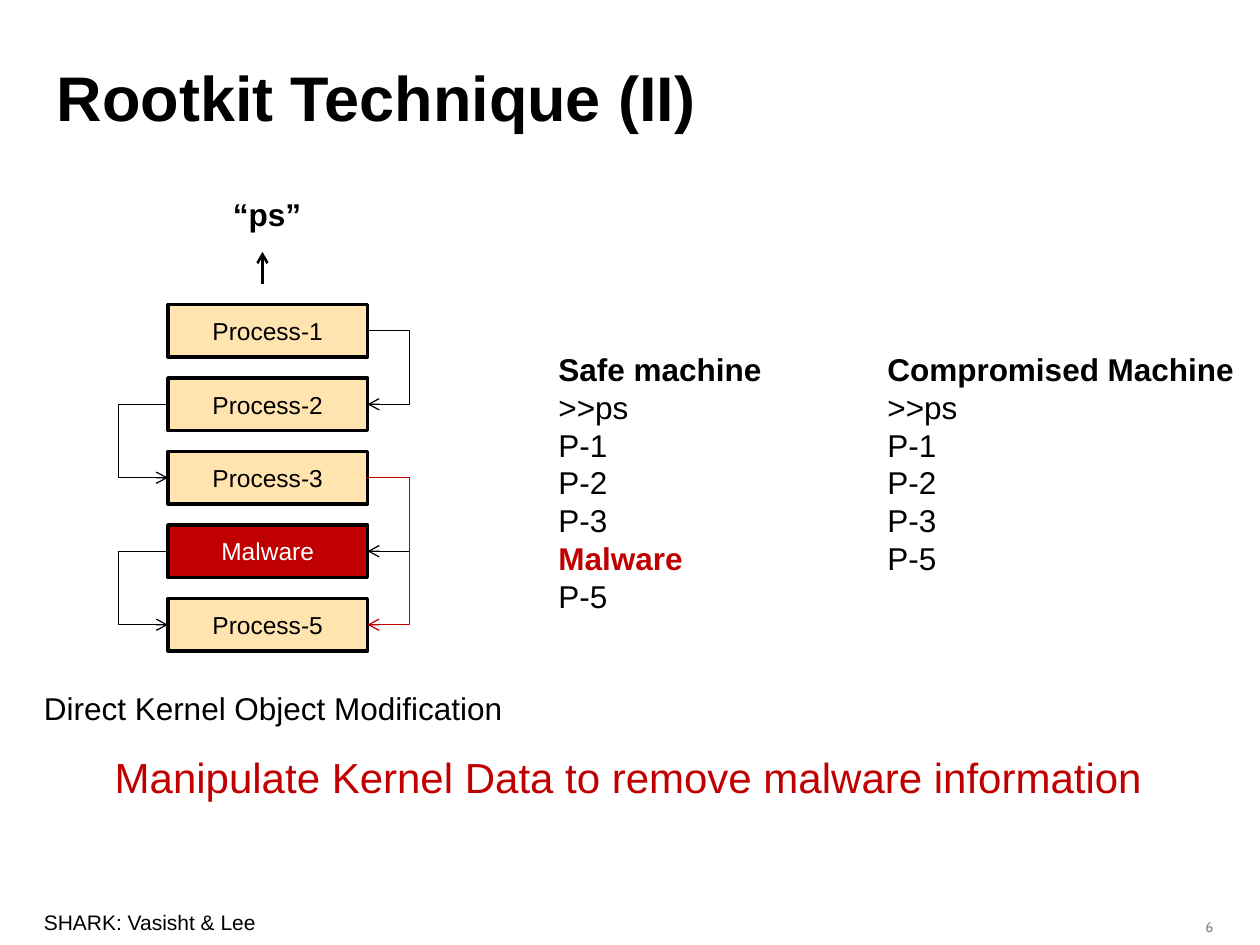
from lxml.etree import SubElement
from pptx import Presentation
from pptx.dml.color import RGBColor
from pptx.enum.shapes import MSO_CONNECTOR as CONNECTOR, MSO_SHAPE as SHAPE
from pptx.enum.text import MSO_ANCHOR as ANCHOR, PP_ALIGN as ALIGN
from pptx.oxml.ns import qn
from pptx.util import Pt

COLORS = {"black": "000000", "white": "FFFFFF", "red": "C00000",
          "sand": "FFE4AF", "gray": "808080"}

# Process stack geometry, in points
BOX_LEFT, BOX_TOP, BOX_WIDTH, BOX_HEIGHT, BOX_PITCH = 96, 174, 114, 30, 42
BOX_RIGHT = BOX_LEFT + BOX_WIDTH
RIGHT_BEND, LEFT_BEND = 234.3, 67.6
SECOND_COLUMN = 188

PROCESSES = ["Process-1", "Process-2", "Process-3", "Malware", "Process-5"]
LISTING = ["Safe machine\tCompromised Machine", ">>ps\t>>ps", "P-1\tP-1",
           "P-2\tP-2", "P-3\tP-3", "Malware", "P-5"]


def rgb(name):
    return RGBColor.from_string(COLORS[name])


def style(run, size, color="black", bold=False, face="Arial"):
    run.font.name = face
    run.font.size = Pt(size)
    run.font.bold = bold
    run.font.color.rgb = rgb(color)


def add_label(slide, text, left, top, width, height, size, color="black",
              bold=False, face="Arial", align=ALIGN.LEFT, wrap=True):
    frame = slide.shapes.add_textbox(
        Pt(left), Pt(top), Pt(width), Pt(height)).text_frame
    frame.word_wrap = wrap
    frame.text = text
    frame.paragraphs[0].alignment = align
    style(frame.paragraphs[0].runs[0], size, color, bold, face)


def add_process(slide, name, row):
    is_malware = name == "Malware"
    process = slide.shapes.add_shape(
        SHAPE.RECTANGLE, Pt(BOX_LEFT), Pt(BOX_TOP + row * BOX_PITCH),
        Pt(BOX_WIDTH), Pt(BOX_HEIGHT))
    process.shadow.inherit = False
    process.fill.solid()
    process.fill.fore_color.rgb = rgb("red" if is_malware else "sand")
    process.line.color.rgb = rgb("black")
    process.line.width = Pt(2)
    frame = process.text_frame
    frame.vertical_anchor = ANCHOR.MIDDLE
    frame.text = name
    frame.paragraphs[0].alignment = ALIGN.CENTER
    style(frame.paragraphs[0].runs[0], 14, "white" if is_malware else "black")


def add_arrow(slide, kind, start, end, weight, color="black"):
    arrow = slide.shapes.add_connector(
        kind, *(Pt(value) for value in (*start, *end)))
    arrow.line.color.rgb = rgb(color)
    arrow.line.width = Pt(weight)
    outline = arrow.line._get_or_add_ln()
    SubElement(outline, qn("a:tailEnd"), type="arrow")
    SubElement(arrow._element.spPr, qn("a:effectLst"))
    return arrow


def add_link(slide, source, target, side, color="black"):
    """Link two rows of the stack by an elbow that bulges out to one side."""
    outward, edge, bend = ((1, BOX_RIGHT, RIGHT_BEND) if side == "right"
                           else (-1, BOX_LEFT, LEFT_BEND))
    # The elbow needs some width: it starts one point inside the box edge
    start_x = edge - outward
    source_y, target_y = (BOX_TOP + row * BOX_PITCH + BOX_HEIGHT / 2
                          for row in (source, target))
    link = add_arrow(slide, CONNECTOR.ELBOW, (start_x, source_y),
                     (edge, target_y), 0.75, color)
    guides = link._element.spPr.find(qn("a:prstGeom")).get_or_add_avLst()
    reach = round(abs(bend - start_x) * 100000)
    SubElement(guides, qn("a:gd"), name="adj1", fmla=f"val {reach}")


def add_listing(slide):
    frame = slide.shapes.add_textbox(
        Pt(312), Pt(196.5), Pt(408), Pt(158.4)).text_frame
    frame.word_wrap = True
    for row, text in enumerate(LISTING):
        line = frame.paragraphs[0] if row == 0 else frame.add_paragraph()
        tabs = SubElement(line._p.get_or_add_pPr(), qn("a:tabLst"))
        SubElement(tabs, qn("a:tab"), pos=str(Pt(SECOND_COLUMN)), algn="l")
        line.text = text
        if text == "Malware":
            style(line.runs[0], 18, "red", bold=True)
            hidden_from = line.add_run()
            hidden_from.text = "\tP-5"
            style(hidden_from, 18)
        else:
            style(line.runs[0], 18, bold=row == 0)


def add_title(slide, text):
    title = slide.shapes.title
    title.left, title.top, title.width, title.height = (
        Pt(25.2), Pt(25.2), Pt(648), Pt(59.8))
    title.text_frame.vertical_anchor = ANCHOR.MIDDLE
    title.text_frame.text = text
    title.text_frame.paragraphs[0].alignment = ALIGN.LEFT
    style(title.text_frame.paragraphs[0].runs[0], 36, bold=True)


def main():
    deck = Presentation()
    deck.slide_width, deck.slide_height = Pt(720), Pt(540)
    slide = deck.slides.add_slide(deck.slide_layouts[5])
    add_title(slide, "Rootkit Technique (II)")

    # Process list as the kernel links it
    for row, name in enumerate(PROCESSES):
        add_process(slide, name, row)
    for row in range(len(PROCESSES) - 1):
        add_link(slide, row, row + 1, "left" if row % 2 else "right")
    add_link(slide, 2, 4, "right", "red")

    # Command that reads the list
    add_label(slide, "“ps”", 126, 108, 53.3, 29, 18, bold=True, wrap=False)
    add_arrow(slide, CONNECTOR.STRAIGHT, (150, 162), (150, 144), 1.5)

    # Output on both machines
    add_listing(slide)

    # Captions and footer
    add_label(slide, "Direct Kernel Object Modification",
              18, 390, 282, 29, 18)
    add_label(slide, "Manipulate Kernel Data to remove malware information",
              12, 426, 694, 65, 24, "red", align=ALIGN.CENTER)
    add_label(slide, "SHARK: Vasisht & Lee", 18, 516, 210, 21.6, 12)
    add_label(slide, "6", 653, 521.3, 47.5, 12.2, 8, "gray", face="Cabin",
              align=ALIGN.RIGHT)

    deck.save("out.pptx")


if __name__ == "__main__":
    main()
